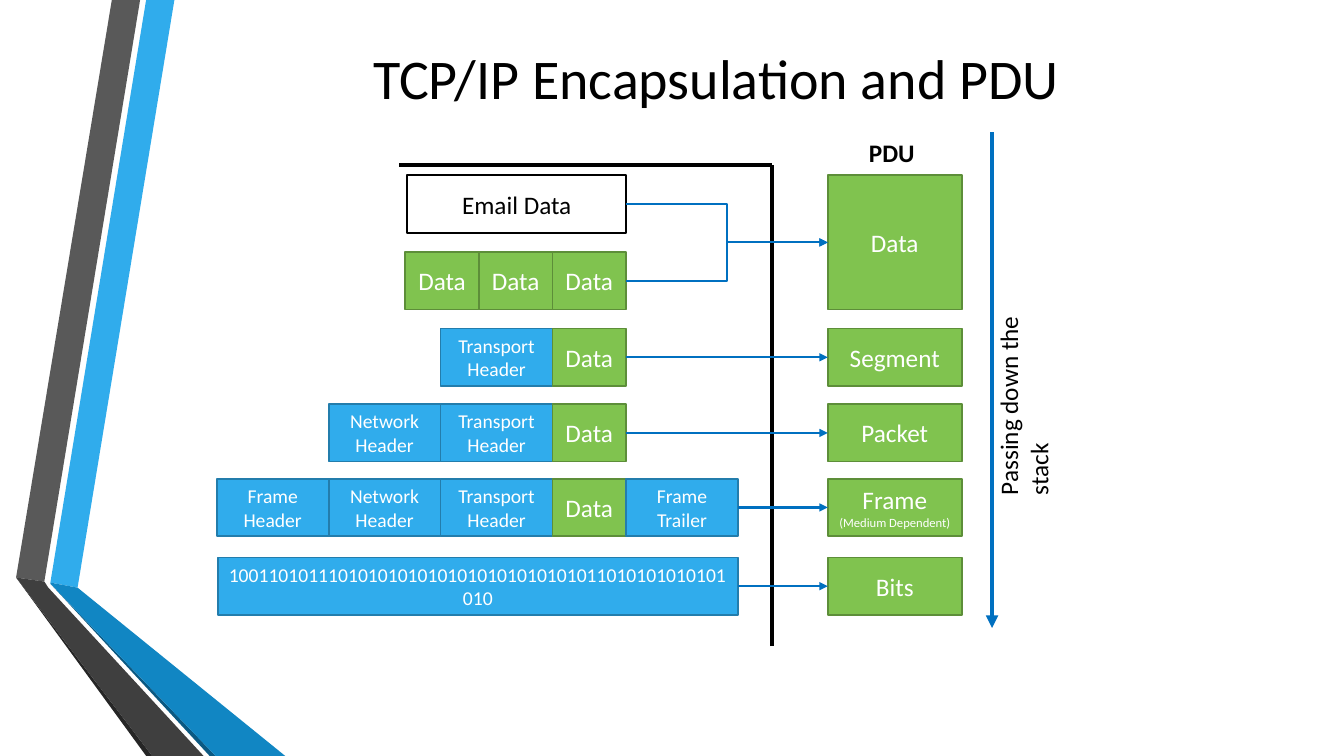
from lxml import etree
from pptx import Presentation
from pptx.dml.color import RGBColor
from pptx.enum import shapes, text
from pptx.oxml import ns
from pptx.util import Inches, Pt

COLORS = {
    "black": "000000", "white": "FFFFFF", "arrow": "0070C0",
    "green": "80C34F", "green_line": "5D8E39",
    "blue": "30ACEC", "blue_line": "237DAC", "blue_fold": "1186C3", "blue_edge": "0B5982",
    "gray": "595959", "gray_fold": "3F3F3F", "gray_edge": "262626",
}
STYLES = {
    "plain": ("white", "black", "black"),
    "data": ("green", "green_line", "white"),
    "header": ("blue", "blue_line", "white"),
}
RIBBONS = [
    ("blue", [(0.5, 5.78), (0.77, 5.83), (1.73, 0), (1.45, 0)]),
    ("gray", [(1.39, 0), (1.11, 0), (0.16, 5.73), (0.44, 5.77)]),
    ("gray_edge", [(0.16, 5.73), (1.45, 7.5), (1.51, 7.5)]),
    ("blue_edge", [(0.5, 5.79), (2.08, 7.5), (2.14, 7.5)]),
    ("blue_fold", [(0.5, 5.79), (2.14, 7.5), (2.83, 7.5), (0.77, 5.83), (0.5, 5.78)]),
    ("gray_fold", [(2.02, 7.5), (0.48, 5.83), (0.44, 5.77), (0.16, 5.73), (1.51, 7.5)]),
]
DATA = ("Data", 0.73)
TRANSPORT = ("Transport Header", 1.11)
NETWORK = ("Network\nHeader", 1.11)
FRAME = ("Frame\nHeader", 1.11)
TRAILER = ("Frame\nTrailer", 1.11)
BITS = ("10011010111010101010101010101010101011010101010101010", 5.16)
ROW_H = 0.57
ROW_TOPS = [1.74, 2.5, 3.26, 4.01, 4.75, 5.53]
DATA_RIGHT = 6.21
TRAILER_RIGHT = 7.32
ROWS = [
    (DATA_RIGHT, [("Email Data", 2.17)]),
    (DATA_RIGHT, [DATA] * 3),
    (DATA_RIGHT, [TRANSPORT, DATA]),
    (DATA_RIGHT, [NETWORK, TRANSPORT, DATA]),
    (TRAILER_RIGHT, [FRAME, NETWORK, TRANSPORT, DATA, TRAILER]),
    (TRAILER_RIGHT, [BITS]),
]
PDUS = [("Data", 0, 1), ("Segment", 2, 2), ("Packet", 3, 3), ("Frame ", 4, 4), ("Bits", 5, 5)]


def rgb(name):
    return RGBColor.from_string(COLORS[name])


def add_run(p, content, size=18, color="black", bold=False):
    r = p.add_run()
    r.text = content
    r.font.name = "Calibri"
    r.font.size = Pt(size)
    r.font.bold = bold
    r.font.color.rgb = rgb(color)


def write(tf, content, align=text.PP_ALIGN.CENTER, anchor=text.MSO_ANCHOR.MIDDLE, **fmt):
    tf.word_wrap = True
    tf.vertical_anchor = anchor
    for i, line in enumerate(content.split("\n")):
        p = tf.add_paragraph() if i else tf.paragraphs[0]
        p.alignment = align
        add_run(p, line, **fmt)


def add_box(s, content, left, top, width, height, style, size=18):
    fill, line, color = STYLES[style]
    sp = s.shapes.add_shape(shapes.MSO_SHAPE.RECTANGLE, Inches(left), Inches(top),
                            Inches(width), Inches(height))
    sp.shadow.inherit = False
    sp.fill.solid()
    sp.fill.fore_color.rgb = rgb(fill)
    sp.line.color.rgb = rgb(line)
    sp.line.width = Pt(1.25)
    write(sp.text_frame, content, size=size, color=color)
    return sp


def add_label(s, content, left, top, width, height, **fmt):
    sp = s.shapes.add_textbox(Inches(left), Inches(top), Inches(width), Inches(height))
    write(sp.text_frame, content, align=text.PP_ALIGN.LEFT, anchor=text.MSO_ANCHOR.TOP, **fmt)
    sp.text_frame.auto_size = text.MSO_AUTO_SIZE.SHAPE_TO_FIT_TEXT
    return sp


def add_line(s, x1, y1, x2, y2, color="black", weight=3, arrow=False,
             kind=shapes.MSO_CONNECTOR.STRAIGHT):
    line = s.shapes.add_connector(kind, Inches(x1), Inches(y1), Inches(x2), Inches(y2))
    line.line.color.rgb = rgb(color)
    line.line.width = Pt(weight)
    if arrow:
        etree.SubElement(line.line._get_or_add_ln(), ns.qn("a:tailEnd"), type="triangle")
    etree.SubElement(line._element.spPr, ns.qn("a:effectLst"))
    return line


def join(s, source, target, kind):
    line = add_line(s, 0, 0, 1, 1, color="arrow", weight=1.5, arrow=True, kind=kind)
    line.begin_connect(source, 3)
    line.end_connect(target, 1)


def draw_ribbons(s):
    for color, points in RIBBONS:
        (x, y), *rest = [(Inches(px), Inches(py)) for px, py in points]
        builder = s.shapes.build_freeform(x, y)
        builder.add_line_segments(rest, close=True)
        sp = builder.convert_to_shape()
        sp.shadow.inherit = False
        sp.fill.solid()
        sp.fill.fore_color.rgb = rgb(color)
        sp.line.fill.background()


def draw_title(s, left, top, width, height):
    sp = s.shapes.title
    sp.left, sp.top, sp.width, sp.height = map(Inches, (left, top, width, height))
    write(sp.text_frame, "TCP/IP Encapsulation and PDU", size=40)


def draw_row(s, cells, right, top):
    x = right - sum(width for _, width in cells)
    for content, width in cells:
        style = {"Email Data": "plain", "Data": "data"}.get(content, "header")
        sp = add_box(s, content, x, top, width, ROW_H, style, 14 if style == "header" else 18)
        x += width
    return sp


def draw_frame(s, left, top, right, bottom):
    add_line(s, left, top, right, top)
    add_line(s, right, bottom, right, top)


def draw_pdus(s, left, width):
    add_label(s, "PDU", left + 0.31, 1.31, 0.7, 0.4, bold=True)
    boxes = []
    for content, first, last in PDUS:
        top = ROW_TOPS[first]
        sp = add_box(s, content, left, top, width, ROW_TOPS[last] + ROW_H - top, "data")
        if content == "Frame ":
            add_run(sp.text_frame.paragraphs[0], "(Medium Dependent)", size=9, color="white")
        boxes += [sp] * (last - first + 1)
    return boxes


def draw_direction(s, x, top, bottom):
    add_line(s, x, top, x, bottom, color="arrow", arrow=True)
    sp = add_label(s, "Passing down the stack", x - 1.04, 3.51, 2.5, 0.5)
    sp.rotation = 270


def main():
    prs = Presentation()
    prs.slide_width, prs.slide_height = Inches(13.33), Inches(7.5)
    s = prs.slides.add_slide(prs.slide_layouts[5])
    draw_ribbons(s)
    draw_title(s, 1.62, 0.36, 10.96, 0.81)
    draw_frame(s, 3.96, 1.64, 7.66, 6.41)
    ends = [draw_row(s, cells, right, top) for (right, cells), top in zip(ROWS, ROW_TOPS)]
    pdus = draw_pdus(s, 8.21, 1.33)
    for i, (end, pdu) in enumerate(zip(ends, pdus)):
        join(s, end, pdu, shapes.MSO_CONNECTOR.ELBOW if i < 2 else shapes.MSO_CONNECTOR.STRAIGHT)
    draw_direction(s, 9.84, 1.31, 6.23)
    prs.save("out.pptx")


if __name__ == "__main__":
    main()
